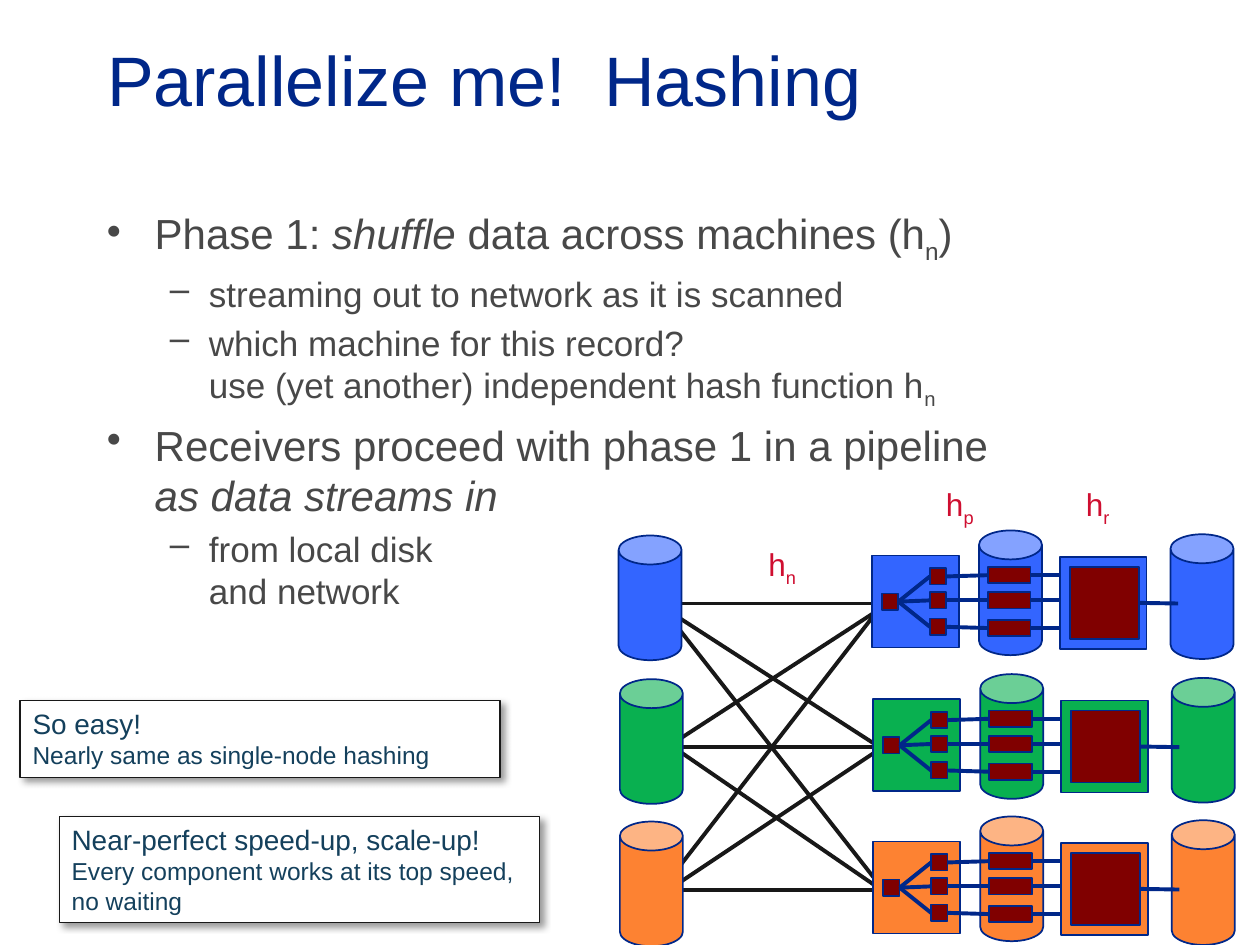
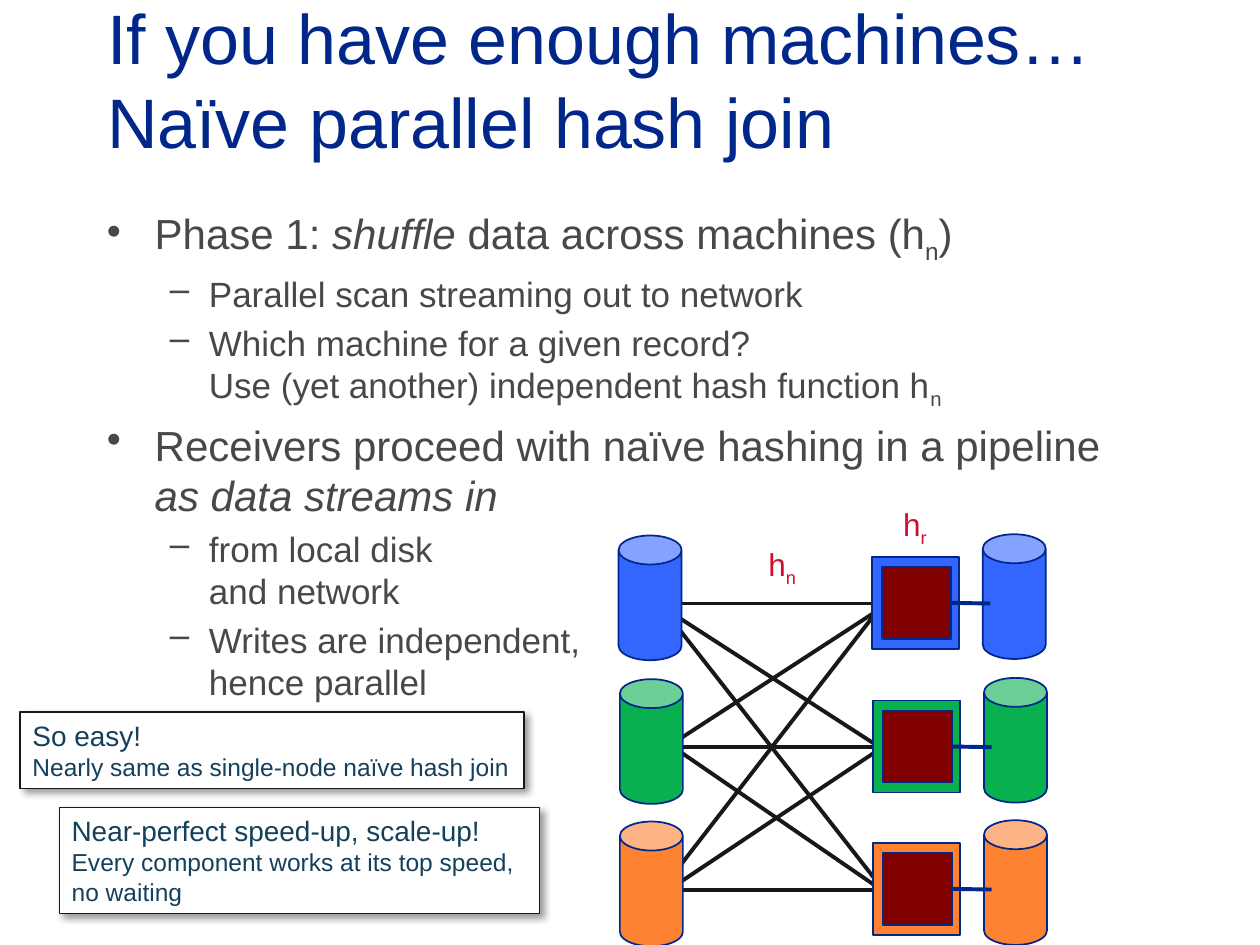
from lxml import etree
from pptx import Presentation
from pptx.dml.color import RGBColor
from pptx.enum.shapes import MSO_CONNECTOR, MSO_SHAPE
from pptx.enum.text import MSO_ANCHOR, MSO_AUTO_SIZE, PP_ALIGN
from pptx.oxml import parse_xml
from pptx.oxml.ns import nsdecls, qn
from pptx.util import Emu, Pt

PX = 9144  # 100 px to the inch
FONT = "Arial"
NAVY, GREY, INK, RED = "002789", "484848", "181818", "CF0E30"
MAROON, WHITE, TEAL = "800000", "FFFFFF", "14405C"

# Machines: colour, shift right, shift down
MACHINES = [("3365FF", 0, 0), ("09B050", 1, 114), ("FD8232", 1, 227)]
NETWORK = [
    (526, 479, 697, 479), (526, 593, 705, 593), (527, 706, 703, 706),
    (523, 480, 695, 591), (527, 484, 697, 701), (531, 592, 705, 479),
    (531, 706, 699, 594), (533, 592, 705, 710), (529, 701, 697, 484),
]
BUCKET_TOPS = (451, 470, 491)
CHUNK_TOPS = (450, 470, 492)

# Bullet level: size, left indent, hanging indent, mark, space before
LEVELS = [(24, 38, 38, "•", 4.8), (20, 81, 31, "–", 4)]

# Runs are (text, style); \v is a line break
SHUFFLE = (0, [("Phase 1: ", ""), ("shuffle", "italic"),
               (" data across machines (h", ""), ("n", "sub"), (")", "")])
SOURCES = (1, [("from local disk \vand network", "")])
SPEED_UP = [[("Near-perfect speed-up, scale-up! \v", 16),
             ("Every component works at its top speed, no waiting", 14)]]

SLIDES = [
    {
        "title": "Parallelize me!  Hashing",
        "bullets": [
            SHUFFLE,
            (1, [("streaming out to network as it is scanned", "")]),
            (1, [("which machine for this record? \v"
                  "use (yet another) independent hash function h", ""), ("n", "sub")]),
            (0, [("Receivers proceed with phase 1 in a pipeline\v", ""),
                 ("as data streams in", "italic")]),
            SOURCES,
        ],
        "partitioned": True,
        "writer_left": 841,
        "labels": [("p", 741, 380), ("r", 852, 380), ("n", 600, 428)],
        "notes": [
            ((47, 648, 381, 84), SPEED_UP),
            ((16, 556, 381, 61), [[("So easy!", 16)],
                                  [("Nearly same as single-node hashing", 14)]]),
        ],
    },
    {
        "title": "If you have enough machines…\vNaïve parallel hash join",
        "bullets": [
            SHUFFLE,
            (1, [("Parallel scan streaming out to network", "")]),
            (1, [("Which machine for a given record? \v"
                  "Use (yet another) independent hash function h", ""), ("n", "sub")]),
            (0, [("Receivers proceed with naïve hashing in a pipeline\v", ""),
                 ("as data streams in", "italic")]),
            SOURCES,
            (1, [("Writes are independent,\vhence parallel", "")]),
        ],
        "partitioned": False,
        "writer_left": 692,
        "labels": [("n", 600, 428), ("r", 707, 396)],
        "notes": [
            ((47, 641, 381, 84), SPEED_UP),
            ((16, 565, 400, 61), [[("So easy!", 16)],
                                  [("Nearly same as single-node naïve hash join", 14)]]),
        ],
    },
]


def px(*lengths):
    return [Emu(round(v * PX)) for v in lengths]


def rgb(color):
    return RGBColor.from_string(color)


def style_run(r, size, color, style=""):
    r.font.name, r.font.size = FONT, Pt(size)
    r.font.color.rgb = rgb(color)
    if style == "italic":
        r.font.italic = True
    elif style == "sub":
        r.font._element.set("baseline", "-25000")


def add_text(p, text, size, color, style=""):
    for i, line in enumerate(text.split("\v")):
        if i:
            p.add_line_break()
        if line:
            r = p.add_run()
            r.text = line
            style_run(r, size, color, style)


def paragraphs(tf, items):
    """Yield each item with its own paragraph of the frame."""
    for i, item in enumerate(items):
        yield (tf.add_paragraph() if i else tf.paragraphs[0]), item


def add_block(s, kind, box, fill, line=NAVY, width=1):
    sp = s.shapes.add_shape(kind, *px(*box))
    sp.shadow.inherit = False
    sp.fill.solid()
    sp.fill.fore_color.rgb = rgb(fill)
    sp.line.color.rgb = rgb(line)
    sp.line.width = Pt(width)
    return sp


def add_rect(s, box, fill):
    return add_block(s, MSO_SHAPE.RECTANGLE, box, fill)


def add_can(s, left, top, fill):
    sp = add_block(s, MSO_SHAPE.CAN, (left, top, 50, 99), fill)
    sp.adjustments[0] = 0.46


def add_line(s, ends, color=NAVY, start=None, stop=None):
    """Draw a line; start and stop are blocks joined at right and left side."""
    cx = s.shapes.add_connector(MSO_CONNECTOR.STRAIGHT, *px(*ends))
    if start is not None:
        cx.begin_connect(start, 3)
    if stop is not None:
        cx.end_connect(stop, 1)
    cx.line.color.rgb = rgb(color)
    cx.line.width = Pt(2.25)
    etree.SubElement(cx._element.spPr, qn("a:effectLst"))


def add_title(s, text):
    sp = s.shapes.title
    sp.left, sp.top, sp.width, sp.height = px(75, 0, 850, 125)
    tf = sp.text_frame
    tf.text = text
    tf.auto_size = MSO_AUTO_SIZE.NONE
    tf.vertical_anchor = MSO_ANCHOR.MIDDLE
    p = tf.paragraphs[0]
    p.alignment = PP_ALIGN.LEFT
    for r in p.runs:
        style_run(r, 40, NAVY)


def add_bullets(s, bullets):
    tf = s.shapes.add_textbox(*px(75, 160, 850, 556)).text_frame
    tf.word_wrap = True
    for p, (level, runs) in paragraphs(tf, bullets):
        size, left, hang, mark, before = LEVELS[level]
        pPr = p._p.get_or_add_pPr()
        pPr.set("marL", str(left * PX))
        pPr.set("indent", str(-hang * PX))
        etree.SubElement(pPr, qn("a:buChar"), char=mark)
        p.level = level
        p.space_before = Pt(before if p._p is not tf.paragraphs[0]._p else 0)
        for text, style in runs:
            add_text(p, text, size, GREY, style)


def add_partitioner(s, color, dx, dy):
    """Split arriving records into buckets and spill them as chunks on disk."""
    add_can(s, 777 + dx, 421 + dy, color)
    chunks = [add_rect(s, (784 + dx, y + dy, 34, 13), MAROON) for y in CHUNK_TOPS]
    add_rect(s, (692 + dx, 441 + dy, 69, 73), color)
    source = add_rect(s, (700 + dx, 471 + dy, 13, 13), MAROON)
    buckets = [add_rect(s, (738 + dx, y + dy, 13, 13), MAROON) for y in BUCKET_TOPS]
    for bucket, chunk, top in zip(buckets, chunks, CHUNK_TOPS):
        y = top + 6.5 + dy
        add_line(s, (713, y, 738, y), start=source, stop=bucket)
        add_line(s, (751, y, 784, y), start=bucket, stop=chunk)
        add_line(s, (818, y, 850 + dx, y), start=chunk)


def add_writer(s, left, color, dx, dy):
    """Hash table of one machine and the disk it writes to."""
    x = left + dx
    add_can(s, x + 88, 424 + dy, color)
    add_rect(s, (x, 442 + dy, 69, 73), color)
    table = add_rect(s, (x + 8, 450 + dy, 55, 57), MAROON)
    y = 479 + dy
    add_line(s, (x + 63, y, x + 94, y), start=table)


def add_label(s, index, left, top):
    tf = s.shapes.add_textbox(*px(left, top, 44, 40)).text_frame
    tf.word_wrap = False
    tf.auto_size = MSO_AUTO_SIZE.SHAPE_TO_FIT_TEXT
    add_text(tf.paragraphs[0], "h", 18, RED)
    add_text(tf.paragraphs[0], index, 18, RED, "sub")


def add_note(s, box, content):
    sp = add_block(s, MSO_SHAPE.RECTANGLE, box, WHITE, INK, 0.75)
    sp._element.spPr.find(qn("a:effectLst")).append(parse_xml(
        f'<a:outerShdw {nsdecls("a")} blurRad="{Pt(4)}" dist="{Pt(3)}" dir="2700000"'
        ' algn="tl" rotWithShape="0"><a:srgbClr val="000000"><a:alpha val="40000"/>'
        '</a:srgbClr></a:outerShdw>'))
    tf = sp.text_frame
    tf.word_wrap = True
    tf.auto_size = MSO_AUTO_SIZE.SHAPE_TO_FIT_TEXT
    tf.vertical_anchor = MSO_ANCHOR.TOP
    for p, runs in paragraphs(tf, content):
        p.alignment = PP_ALIGN.LEFT
        for text, size in runs:
            add_text(p, text, size, TEAL)


def build_slide(prs, data):
    s = prs.slides.add_slide(prs.slide_layouts[5])
    for ends in NETWORK:
        add_line(s, ends, INK)
    add_title(s, data["title"])
    add_bullets(s, data["bullets"])
    for color, dx, dy in MACHINES:
        add_can(s, 491 + dx, 425 + dy, color)
        if data["partitioned"]:
            add_partitioner(s, color, dx, dy)
        add_writer(s, data["writer_left"], color, dx, dy)
    for label in data["labels"]:
        add_label(s, *label)
    for note in data["notes"]:
        add_note(s, *note)


def main():
    prs = Presentation()
    prs.slide_width, prs.slide_height = px(1000, 750)
    for data in SLIDES:
        build_slide(prs, data)
    prs.save("out.pptx")


if __name__ == "__main__":
    main()
